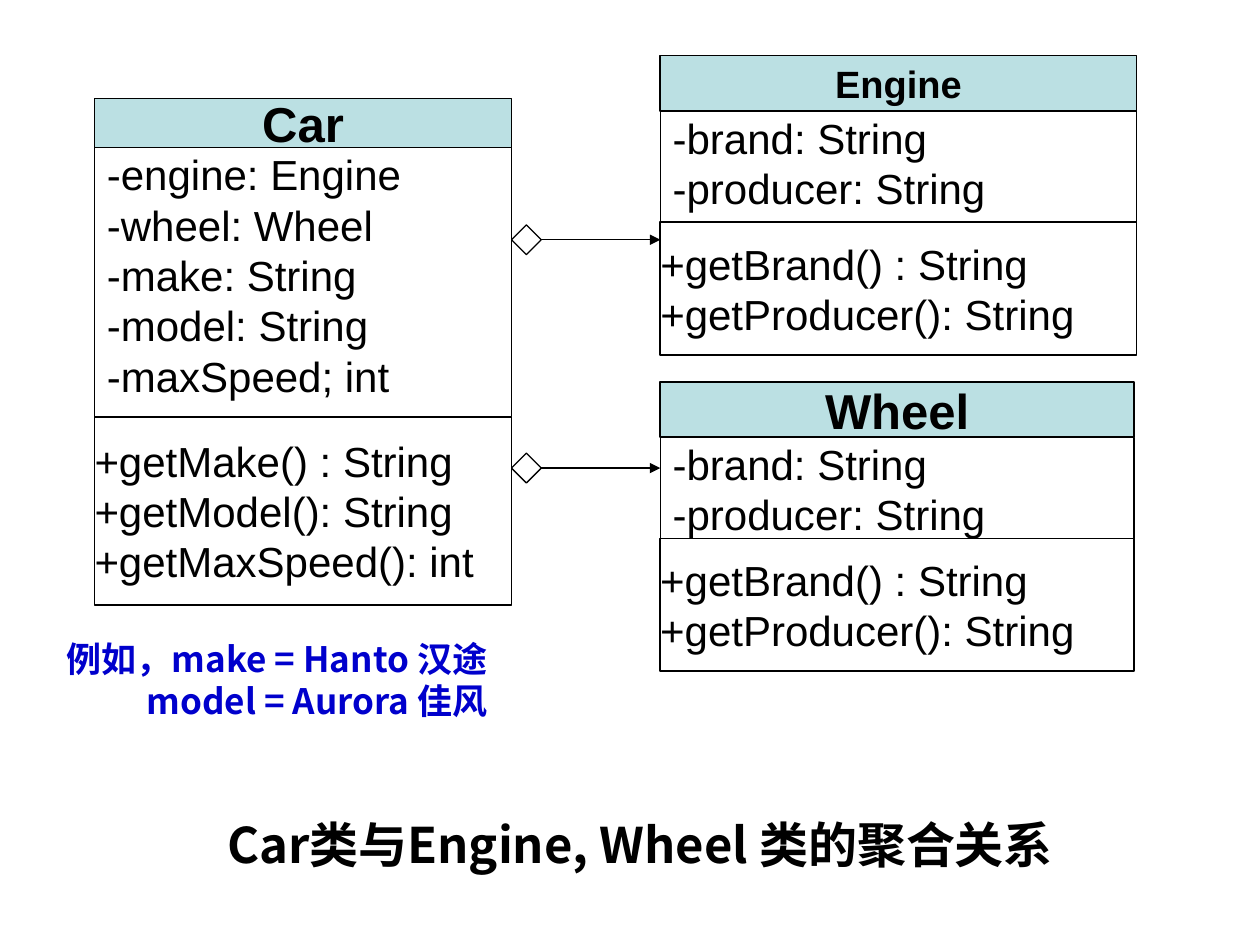
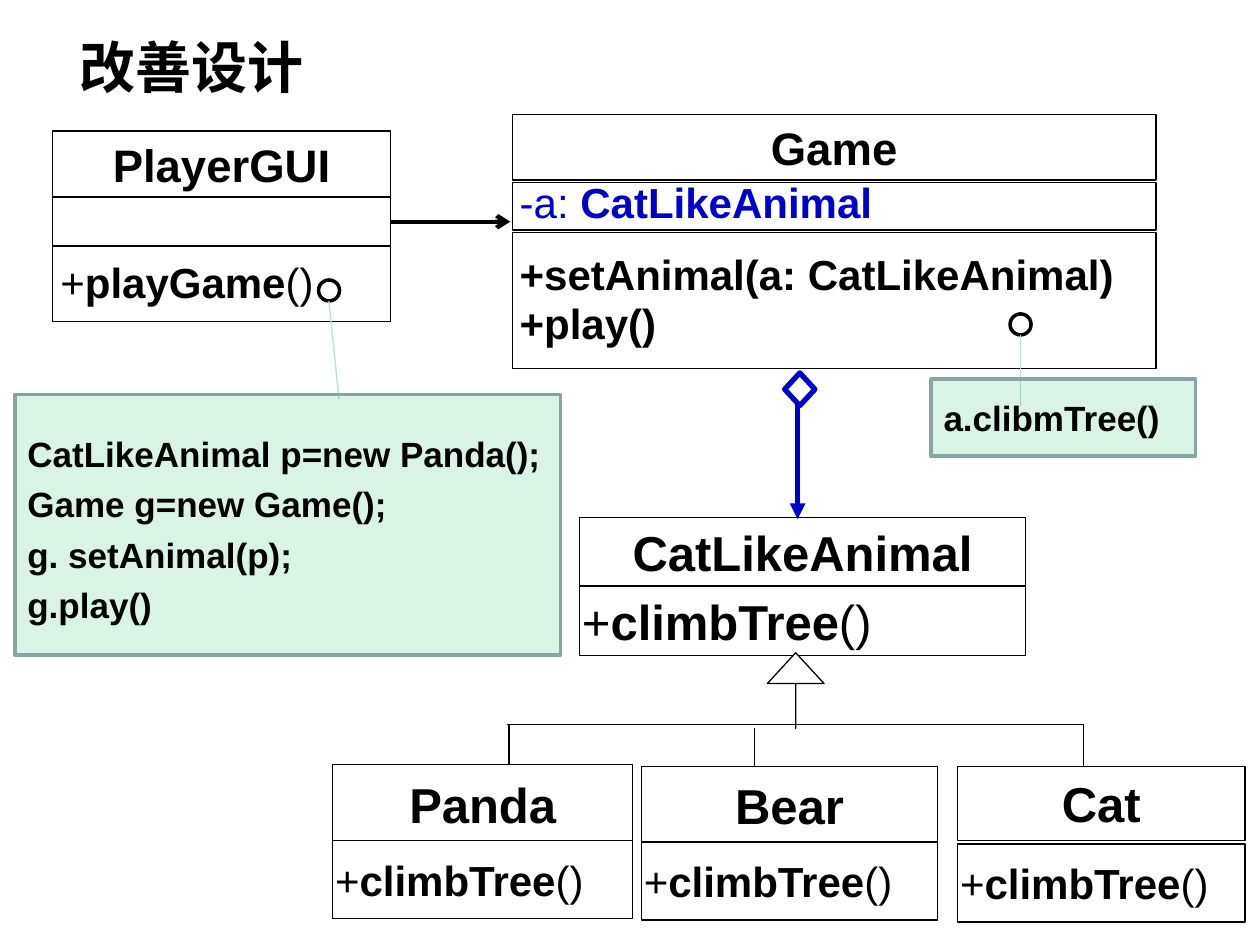
import pptx
import pptx.dml.color
import pptx.enum.shapes
import pptx.enum.text
import pptx.oxml
import pptx.oxml.ns
import pptx.util

Pt = pptx.util.Pt
SHAPE = pptx.enum.shapes.MSO_SHAPE
ANCHOR = pptx.enum.text.MSO_ANCHOR
ALIGN = pptx.enum.text.PP_ALIGN

COLOURS = {"ink": "000000", "paper": "FFFFFF", "header": "BBE0E3", "accent": "0000CC",
           "note": "00B050", "note_edge": "89A4A7", "note_link": "B6DCDF"}
LATIN, CHINESE = "Arial", "Noto Sans CJK SC"
TITLE_ONLY = 5

# Text between asterisks is bold.
GETTERS = ["+getBrand() : String", "+getProducer(): String"]
PART_FIELDS = ["-brand: String", "-producer: String"]
CLIMB = ["+*climbTree*()"]

# Every compartment is (height, lines, changes to its style).
AGGREGATION = {
    "title": ("Car类与Engine, Wheel 类的聚合关系", (82, 461.5, 567.5, 41), 28, ALIGN.CENTER),
    "classes": [
        {"at": (54, 56.2), "width": 238.3, "gap": 0, "parts": [
            (28.1, ["*Car*"], {"size": 28}),
            (153.8, ["-engine: Engine", "-wheel: Wheel", "-make: String",
                     "-model: String", "-maxSpeed; int"], {}),
            (107.5, ["+getMake() : String", "+getModel(): String",
                     "+getMaxSpeed(): int"], {})]},
        {"at": (377.3, 31.7), "width": 272.2, "gap": 0, "parts": [
            (31.7, ["*Engine*"], {"size": 21.7}),
            (63.4, PART_FIELDS, {}), (76.3, GETTERS, {})]},
        {"at": (377.3, 218.2), "width": 270.7, "gap": 0, "parts": [
            (31.7, ["*Wheel*"], {"size": 28}),
            (57.8, PART_FIELDS, {}), (75.6, GETTERS, {})]},
    ],
    "aggregation_tops": [128.5, 259],
    "example": ["例如，make = Hanto 汉途", "model = Aurora 佳风"],
}
AGGREGATION_STYLES = [
    {"fill": "header", "line_width": 1, "align": ALIGN.CENTER, "insets": (0, 2.2)},
    {"insets": (7.2, 0.7), "anchor": ANCHOR.TOP},
    {"line_width": 1, "insets": (0, 2.2)},
]

SUBCLASSES = [("Panda", 190.1, 437, 171.4, 44.6, -1.2),
              ("Bear", 366.5, 437.8, 169.2, 44.6, -1.2),
              ("Cat", 547.2, 437.8, 164.2, 42.5, 2)]
IMPROVED = {
    "title": ("改善设计", (38, 15, 150.5, 46), 32, ALIGN.LEFT),
    "classes": [
        {"at": (292.7, 65.5), "width": 368, "gap": 1.2, "parts": [
            (37.4, ["*Game*"], {"size": 26}),
            (27.4, ["-a: *CatLikeAnimal*"], {"colour": "accent", "spacing": 0.8}),
            (77.8, ["*+setAnimal(a: CatLikeAnimal)*", "*+play()*"], {"spacing": 0.96})]},
        {"at": (30.2, 74.9), "width": 193, "gap": 0.2, "parts": [
            (37.7, ["*PlayerGUI*"], {"size": 26}),
            (27.6, [], {}),
            (43.2, ["+*playGame*()"], {"spacing": 0.96})]},
        {"at": (331.2, 295.9), "width": 254.9, "gap": 0, "parts": [
            (38.9, ["*CatLikeAnimal*"], {"size": 28}),
            (39.6, CLIMB, {"size": 28, "insets": (1.4, 2.2)})]},
    ] + [
        {"at": (left, top), "width": width, "gap": gap, "parts": [
            (height, [f"*{name}*"], {"size": 28}),
            (44.6, CLIMB, {"insets": (1.4, 2.2)})]}
        for name, left, top, width, height, gap in SUBCLASSES
    ],
    # Each note: ring centre, end of its thread, box, lines, line spacing.
    "notes": [
        ((188, 166), (193.7, 228.2), (8.6, 225.4, 311.8, 149),
         ["*CatLikeAnimal p=new Panda();*", "*Game g=new Game();*",
          "*g. setAnimal(p);*", "*g.play()*"], 1.2),
        ((583.2, 185.4), (583.2, 232), (532.1, 216.7, 151.2, 44),
         ["*a.clibmTree()*"], 1),
    ],
    "tree": {"bar": (289.5, 619.2, 414), "branches": [(290.9, 414), (431.3, 416.2), (619.2, 414)]},
}
IMPROVED_STYLES = [{"align": ALIGN.CENTER}, {}, {}]


def rgb(name):
    return pptx.dml.color.RGBColor.from_string(COLOURS[name])


def write(box, lines, size=24, colour="ink", align=ALIGN.LEFT, anchor=ANCHOR.MIDDLE,
          insets=(4.3, 2.2), spacing=1, font=LATIN, indents=()):
    frame = box.text_frame
    side, edge = insets
    settings = {"word_wrap": True, "auto_size": pptx.enum.text.MSO_AUTO_SIZE.NONE,
                "vertical_anchor": anchor, "margin_left": Pt(side), "margin_right": Pt(side),
                "margin_top": Pt(edge), "margin_bottom": Pt(edge)}
    for key, value in settings.items():
        setattr(frame, key, value)
    for index, line in enumerate(lines):
        para = frame.add_paragraph() if index else frame.paragraphs[0]
        para.alignment, para.line_spacing = align, spacing
        if indents:
            para._p.get_or_add_pPr().set("marL", str(Pt(indents[index])))
        for position, text in enumerate(line.split("*")):
            if not text:
                continue
            span = para.add_run()
            span.text = text
            look = {"name": font, "size": Pt(size), "bold": position % 2 == 1}
            for key, value in look.items():
                setattr(span.font, key, value)
            span.font.color.rgb = rgb(colour)
            if font == CHINESE:
                east = pptx.oxml.parse_xml(
                    f'<a:ea {pptx.oxml.ns.nsdecls("a")} typeface="{font}"/>')
                span.font._element.find(pptx.oxml.ns.qn("a:latin")).addnext(east)


def draw(page, kind, area, fill="paper", line="ink", line_width=0.75, opacity=None):
    shape = page.shapes.add_shape(kind, *map(Pt, area))
    shape.shadow.inherit = False
    shape.fill.solid()
    shape.fill.fore_color.rgb = rgb(fill)
    if opacity is not None:
        colour = shape._element.spPr.find(".//" + pptx.oxml.ns.qn("a:srgbClr"))
        colour.append(pptx.oxml.parse_xml(
            f'<a:alpha {pptx.oxml.ns.nsdecls("a")} val="{opacity * 1000}"/>'))
    shape.line.color.rgb = rgb(line)
    shape.line.width = Pt(line_width)
    return shape


def connect(page, start, end, colour="ink", width=0.75, head=None):
    link = page.shapes.add_connector(
        pptx.enum.shapes.MSO_CONNECTOR.STRAIGHT, *map(Pt, (*start, *end)))
    link.line.color.rgb = rgb(colour)
    link.line.width = Pt(width)
    names = pptx.oxml.ns.nsdecls("a")
    if head:
        link.line._get_or_add_ln().append(
            pptx.oxml.parse_xml(f'<a:tailEnd {names} type="{head}"/>'))
    link._element.spPr.append(pptx.oxml.parse_xml(f"<a:effectLst {names}/>"))


def draw_class(page, model, styles):
    left, top = model["at"]
    for (height, lines, changes), style in zip(model["parts"], styles):
        look = {**style, **changes}
        frame_look = {key: look.pop(key) for key in ("fill", "line_width") if key in look}
        box = draw(page, SHAPE.RECTANGLE, (left, top, model["width"], height), **frame_look)
        write(box, lines, **look)
        top += height + model["gap"]


def add_page(deck, content):
    page = deck.slides.add_slide(deck.slide_layouts[TITLE_ONLY])
    text, area, size, align = content["title"]
    title = page.shapes.title
    for key, value in zip(("left", "top", "width", "height"), area):
        setattr(title, key, Pt(value))
    write(title, [f"*{text}*"], size=size, align=align, font=CHINESE, insets=(7.2, 3.6))
    return page


def build_aggregation(deck):
    page = add_page(deck, AGGREGATION)
    for model in AGGREGATION["classes"]:
        draw_class(page, model, AGGREGATION_STYLES)
    side, owner_edge, part_edge = 17, 292.3, 377.3
    for top in AGGREGATION["aggregation_tops"]:
        draw(page, SHAPE.DIAMOND, (owner_edge, top, side, side))
        middle = top + side / 2
        connect(page, (owner_edge + side, middle), (part_edge, middle), head="triangle")
    example = page.shapes.add_textbox(*map(Pt, (31, 360.7, 300, 55.4)))
    write(example, [f"*{line}*" for line in AGGREGATION["example"]], size=20, colour="accent",
          font=CHINESE, insets=(7.2, 3.6), anchor=ANCHOR.TOP, indents=(0, 45.7))


def draw_note(page, ring, thread_end, area, lines, spacing):
    x, y = ring
    radius = 6
    draw(page, SHAPE.OVAL, (x - radius, y - radius, 2 * radius, 2 * radius), line_width=2)
    connect(page, (x, y + radius), thread_end, "note_link")
    box = draw(page, SHAPE.RECTANGLE, area, "note", "note_edge", 2, opacity=15)
    write(box, lines, size=20, spacing=spacing, insets=(7.2, 3.6))


def build_improved(deck):
    page = add_page(deck, IMPROVED)
    for model in IMPROVED["classes"]:
        draw_class(page, model, IMPROVED_STYLES)
    for note in IMPROVED["notes"]:
        draw_note(page, *note)
    connect(page, (223.2, 126.7), (291.6, 126.7), width=2.5, head="arrow")

    inheritance = draw(page, SHAPE.UP_ARROW, (438.5, 373, 32.4, 43.2))
    inheritance.adjustments[0] = 0
    inheritance.adjustments[1] = 0.544
    bar_left, bar_right, bar_top = IMPROVED["tree"]["bar"]
    connect(page, (bar_left, bar_top), (bar_right, bar_top))
    for (x, top), subclass in zip(IMPROVED["tree"]["branches"], SUBCLASSES):
        connect(page, (x, top), (x, subclass[2]))

    connect(page, (455.8, 229.7), (455.8, 296.6), "accent", 3, "triangle")
    draw(page, SHAPE.DIAMOND, (448.4, 213.1, 17.3, 18.7), line="accent", line_width=3)


def main():
    deck = pptx.Presentation()
    deck.slide_width, deck.slide_height = Pt(720), Pt(540)
    build_aggregation(deck)
    build_improved(deck)
    deck.save("out.pptx")


if __name__ == "__main__":
    main()
